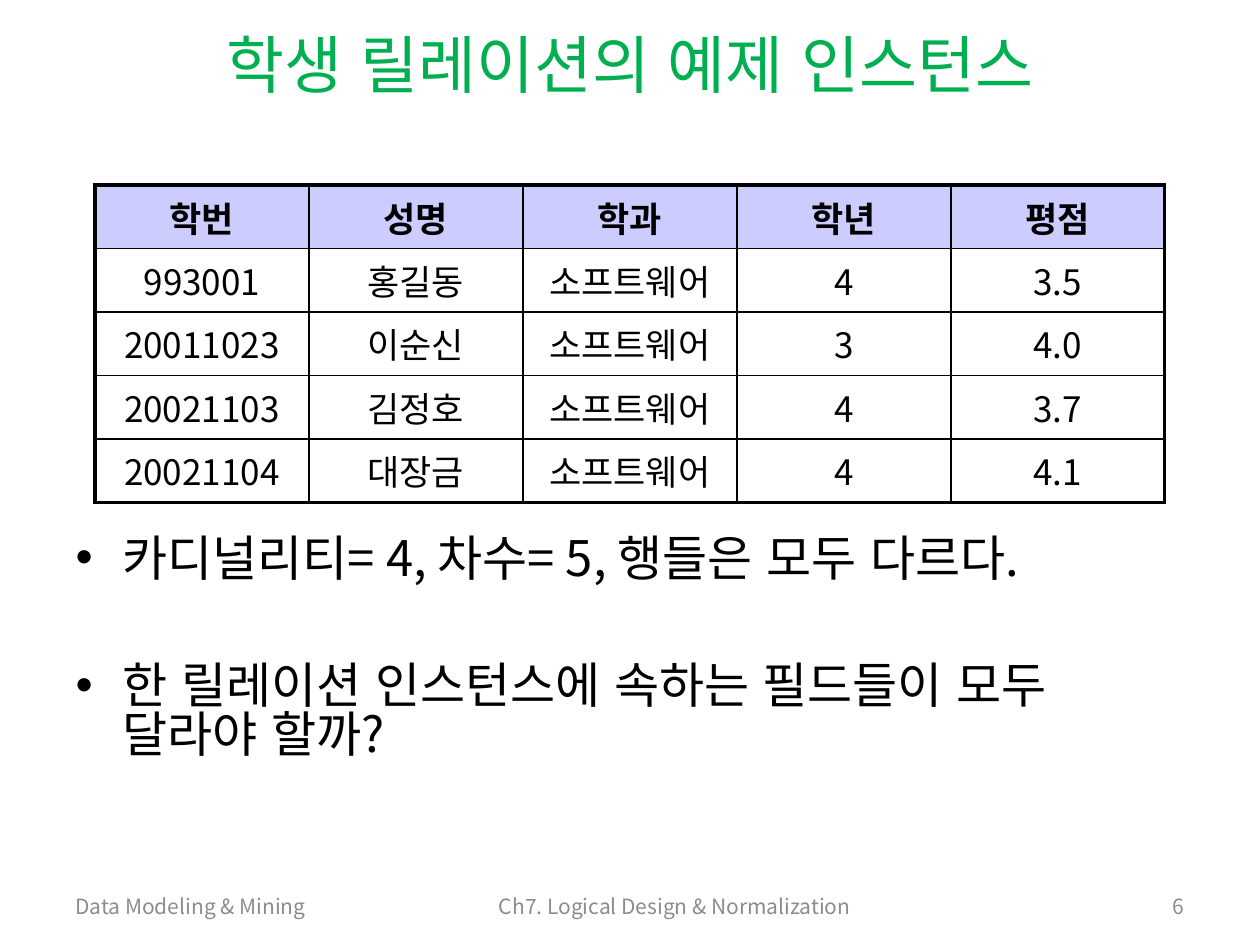
"""Build the slide showing an example instance of the student relation."""
import pptx
import pptx.dml.color
import pptx.enum.lang
import pptx.enum.text
import pptx.oxml
import pptx.oxml.ns
import pptx.util

TITLE = "학생 릴레이션의 예제 인스턴스"
STUDENTS = [
    ["학번", "성명", "학과", "학년", "평점"],
    ["993001", "홍길동", "소프트웨어", "4", "3.5"],
    ["20011023", "이순신", "소프트웨어", "3", "4.0"],
    ["20021103", "김정호", "소프트웨어", "4", "3.7"],
    ["20021104", "대장금", "소프트웨어", "4", "4.1"],
]
POINTS = [
    "카디널리티= 4, 차수= 5, 행들은 모두 다르다.",
    "한 릴레이션 인스턴스에 속하는 필드들이 모두 달라야 할까?",
]
FOOTERS = [
    ("Data Modeling & Mining", "LEFT", (63, 886, 294, 40)),
    ("Ch7. Logical Design & Normalization", "CENTER", (431, 886, 488, 40)),
    ("6", "RIGHT", (1126, 886, 71, 40)),
]
COLORS = {"title": "00B050", "text": "000000", "footer": "8C8C8C",
          "header": "CCCCFF", "border": "000000"}
FONT = "Noto Sans CJK KR"
SCALE = 914400 / 126
TITLE_AREA = (63, 20, 1134, 86)
BODY_AREA = (63, 531, 1134, 346)
TABLE_LEFT, TABLE_TOP, COLUMN_WIDTH, ROW_HEIGHT = 95, 185, 214, 63
OUTER, INNER = 2.25, 1


def px(length):
    return pptx.util.Emu(round(length * SCALE))


def place(shape, area):
    for name, length in zip(("left", "top", "width", "height"), area):
        setattr(shape, name, px(length))


def write(paragraph, text, size, color, align, bold=False):
    paragraph.alignment = getattr(pptx.enum.text.PP_ALIGN, align)
    span = paragraph.add_run()
    span.text = text
    values = {"size": pptx.util.Pt(size), "bold": bold, "name": FONT,
              "language_id": pptx.enum.lang.MSO_LANGUAGE_ID.KOREAN}
    for name, value in values.items():
        setattr(span.font, name, value)
    span.font.color.rgb = pptx.dml.color.RGBColor.from_string(COLORS[color])
    east_asian = pptx.oxml.parse_xml(
        f'<a:ea {pptx.oxml.ns.nsdecls("a")} typeface="{FONT}"/>')
    span.font._element.append(east_asian)


def set_frame(frame, anchor):
    values = {"word_wrap": True, "auto_size": pptx.enum.text.MSO_AUTO_SIZE.NONE,
              "vertical_anchor": getattr(pptx.enum.text.MSO_ANCHOR, anchor)}
    for name, value in values.items():
        setattr(frame, name, value)


def add_border(cell, side, width):
    cell._tc.get_or_add_tcPr().append(pptx.oxml.parse_xml(
        f'<a:ln{side} {pptx.oxml.ns.nsdecls("a")} w="{pptx.util.Pt(width)}">'
        f'<a:solidFill><a:srgbClr val="{COLORS["border"]}"/></a:solidFill>'
        f'</a:ln{side}>'))


def add_students(page):
    rows, columns = len(STUDENTS), len(STUDENTS[0])
    area = (TABLE_LEFT, TABLE_TOP, columns * COLUMN_WIDTH, rows * ROW_HEIGHT)
    table = page.shapes.add_table(rows, columns, *map(px, area)).table
    table.first_row = table.horz_banding = False
    for row, record in enumerate(STUDENTS):
        for column, text in enumerate(record):
            cell = table.cell(row, column)
            edges = {"L": column == 0, "R": column == columns - 1,
                     "T": row == 0, "B": row == rows - 1}
            for side, outside in edges.items():
                add_border(cell, side, OUTER if outside else INNER)
            if row == 0:
                cell.fill.solid()
                cell.fill.fore_color.rgb = pptx.dml.color.RGBColor.from_string(
                    COLORS["header"])
            else:
                cell.fill.background()
            write(cell.text_frame.paragraphs[0], text, 20, "text", "CENTER", row == 0)


def main():
    deck = pptx.Presentation()
    deck.slide_width, deck.slide_height = px(1260), px(945)
    page = deck.slides.add_slide(deck.slide_layouts[1])

    title, body = page.shapes.title, page.placeholders[1]
    place(title, TITLE_AREA)
    set_frame(title.text_frame, "MIDDLE")
    write(title.text_frame.paragraphs[0], TITLE, 36, "title", "CENTER")

    place(body, BODY_AREA)
    set_frame(body.text_frame, "TOP")
    for index, text in enumerate(POINTS):
        frame = body.text_frame
        paragraph = frame.add_paragraph() if index else frame.paragraphs[0]
        paragraph.line_spacing = 0.83
        paragraph.space_before = pptx.util.Pt(45 if index else 0)
        write(paragraph, text, 28, "text", "LEFT")

    for text, align, area in FOOTERS:
        box = page.shapes.add_textbox(*map(px, area))
        set_frame(box.text_frame, "MIDDLE")
        write(box.text_frame.paragraphs[0], text, 12, "footer", align)

    add_students(page)
    deck.save("out.pptx")


if __name__ == "__main__":
    main()
